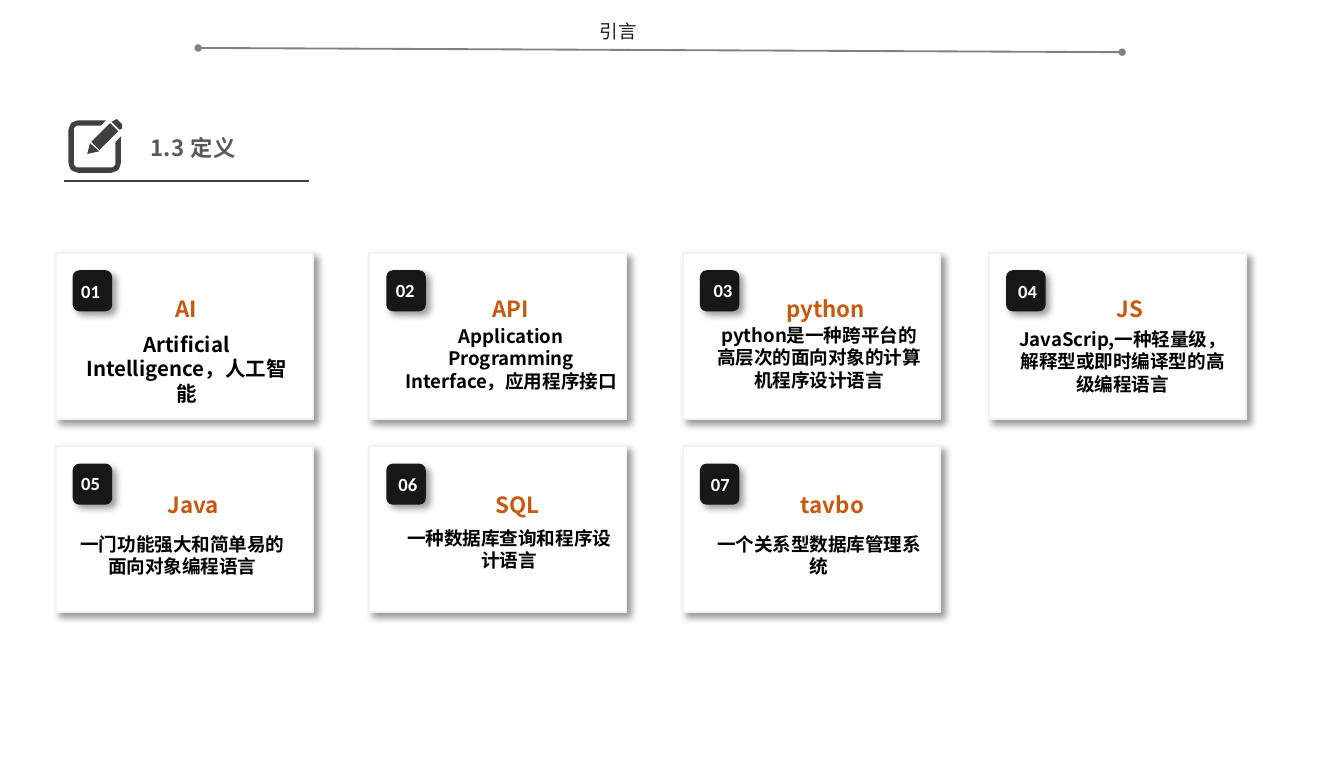
from math import cos, radians, sin

from lxml import etree
from pptx import Presentation
from pptx.dml.color import RGBColor
from pptx.enum.shapes import MSO_CONNECTOR, MSO_SHAPE
from pptx.enum.text import MSO_ANCHOR, MSO_AUTO_SIZE, PP_ALIGN
from pptx.oxml.ns import qn
from pptx.util import Cm, Pt

RECT, ROUND = MSO_SHAPE.RECTANGLE, MSO_SHAPE.ROUNDED_RECTANGLE
LINE = MSO_CONNECTOR.STRAIGHT
LEFT, MID = PP_ALIGN.LEFT, PP_ALIGN.CENTER
GROW, FIXED = MSO_AUTO_SIZE.SHAPE_TO_FIT_TEXT, MSO_AUTO_SIZE.NONE
CENTER = MSO_ANCHOR.MIDDLE

# Content
HEADER = "引言"
TITLE = "1.3 定义"
# name, text, text size, then offsets in the card (cm): number, name, text
CARDS = [
    ("AI", "Artificial Intelligence，人工智能", 11,
     (0.23, 0.38), (1.04, 0.71), (0.23, 1.37)),
    ("API", "Application Programming Interface，应用程序接口", 10,
     (0.25, 0.36), (1.24, 0.71), (0.36, 1.24)),
    ("python", "python是一种跨平台的高层次的面向对象的计算机程序设计语言", 10,
     (0.33, 0.36), (1.27, 0.71), (0.33, 1.22)),
    ("JS", "JavaScrip,一种轻量级，解释型或即时编译型的高级编程语言", 10,
     (0.3, 0.38), (1.24, 0.71), (0.28, 1.3)),
    ("Java", "一门功能强大和简单易的面向对象编程语言", 10,
     (0.23, 0.36), (1.17, 0.76), (0.15, 1.52)),
    ("SQL", "一种数据库查询和程序设计语言", 10,
     (0.3, 0.38), (1.37, 0.76), (0.4, 1.4)),
    ("tavbo", "一个关系型数据库管理系统", 10,
     (0.28, 0.38), (1.4, 0.76), (0.33, 1.52)),
]

# Layout in cm
COLS = (1.06, 7.01, 12.96, 18.77)
ROWS = (4.8, 8.47)
CARD = (4.88, 3.15)
BADGE = (0.75, 0.78)
INSET = (0.32, 0.33)

SANS, LATIN = "Noto Sans CJK SC", "Calibri"
COLORS = {
    "ink": "181717", "black": "000000", "white": "FFFFFF", "edge": "F2F2F2",
    "name": "C55A11", "title": "595959", "icon": "404040", "rule": "808080",
}


def color(key):
    return RGBColor.from_string(COLORS[key])


def style(par, size, key, bold=True, face=SANS, align=LEFT):
    par.alignment = align
    font = par.font
    font.size, font.bold, font.name = Pt(size), bold, face
    font.color.rgb = color(key)
    props = par._p.pPr.find(qn("a:defRPr"))
    etree.SubElement(props, qn("a:ea"), typeface=face)


def label(text, x, y, w, h, size, key, wrap=True, flush=False, **look):
    box = slide.shapes.add_textbox(Cm(x), Cm(y), Cm(w), Cm(h))
    frame = box.text_frame
    frame.word_wrap, frame.auto_size = wrap, GROW
    if flush:
        frame.margin_left = frame.margin_right = 0
        frame.margin_top = frame.margin_bottom = 0
    par = frame.paragraphs[0]
    par.text = text
    style(par, size, key, **look)
    return par


def panel(kind, x, y, size, fill, edge=None):
    shape = slide.shapes.add_shape(kind, Cm(x), Cm(y), *map(Cm, size))
    shape.fill.solid()
    shape.fill.fore_color.rgb = color(fill)
    if edge:
        shape.line.color.rgb = color(edge)
        shape.line.width = Pt(1)
    else:
        shape.line.fill.background()
    # Soft shadow to the lower right
    shape.shadow.inherit = False
    effects = shape._element.spPr.find(qn("a:effectLst"))
    shade = etree.SubElement(effects, qn("a:outerShdw"), blurRad=str(Pt(4)),
                             dist=str(Pt(3)), dir="2700000", algn="tl", rotWithShape="0")
    tint = etree.SubElement(shade, qn("a:srgbClr"), val=COLORS["black"])
    etree.SubElement(tint, qn("a:alpha"), val="40000")


def rule(x1, y1, x2, y2, key, width, dots=False):
    line = slide.shapes.add_connector(LINE, Cm(x1), Cm(y1), Cm(x2), Cm(y2))
    line.line.color.rgb = color(key)
    line.line.width = Pt(width)
    if dots:
        stroke = line.line._get_or_add_ln()
        for end in ("a:headEnd", "a:tailEnd"):
            etree.SubElement(stroke, qn(end), type="oval", w="sm", len="sm")
    etree.SubElement(line._element.spPr, qn("a:effectLst"))


def arc(x, y, r, start, stop):
    turns = [start + (stop - start) * i / 4 for i in range(5)]
    return [(x + r * cos(radians(t)), y + r * sin(radians(t))) for t in turns]


def icon(x, y, size):
    # Pencil parts and open frame on a 40 by 40 grid
    cap = [(40, 7), (38, 8), (32, 2), (34, 1), (36, 0), (40, 4), (40.5, 5.5)]
    shaft = [(23, 23), (17, 17), (31, 3), (37, 9)]
    tip = [(23, 24), (14, 26), (16, 18)]
    frame = [(24, 5), *arc(8, 9, 4, 270, 180), *arc(8, 32, 4, 180, 90),
             *arc(31, 32, 4, 90, 0), (35, 17), (39, 13),
             *arc(32, 33, 7, 0, 90), *arc(7, 33, 7, 90, 180),
             *arc(7, 8, 7, 180, 270), (28, 1)]
    pen = slide.shapes.build_freeform(*cap[0], scale=Cm(size) / 40)
    pen.add_line_segments(cap[1:])
    for part in (shaft, tip, frame):
        pen.move_to(*part[0])
        pen.add_line_segments(part[1:])
    shape = pen.convert_to_shape(Cm(x), Cm(y))
    shape.fill.solid()
    shape.fill.fore_color.rgb = color("icon")
    shape.line.fill.background()
    shape.shadow.inherit = False


deck = Presentation()
deck.slide_width, deck.slide_height = Cm(25.5), Cm(14.5)
slide = deck.slides.add_slide(deck.slide_layouts[5])

# Header
label(HEADER, 11.13, 0.25, 1.22, 0.69, 10, "ink", wrap=False, bold=False)
rule(3.76, 0.91, 21.29, 0.99, "rule", 1, dots=True)

# Section title
title = slide.shapes.title
title.left, title.top, title.width, title.height = Cm(2.6), Cm(2.4), Cm(3.3), Cm(0.8)
frame = title.text_frame
frame.text = TITLE
frame.auto_size, frame.vertical_anchor = FIXED, CENTER
style(frame.paragraphs[0], 12, "title")
frame.paragraphs[0].runs[0].font._element.set("spc", "20")
icon(1.3, 2.26, 1.02)
rule(1.22, 3.43, 5.87, 3.43, "icon", 1.25)

# Definition cards
for i, (name, text, size, num, head, body) in enumerate(CARDS):
    row, col = divmod(i, len(COLS))
    x, y = COLS[col], ROWS[row]
    panel(RECT, x, y, CARD, "white", "edge")
    panel(ROUND, x + INSET[0], y + INSET[1], BADGE, "ink")
    par = label(text, x + body[0], y + body[1], 4.65 if name == "API" else 4.5, 1.5,
                size, "black", align=MID)
    par.space_before = Pt(6)
    par = label(name, x + head[0], y + head[1], 2.87, 0.58, 12, "name",
                flush=True, align=MID)
    par.line_spacing, par.space_before = 1.2, Pt(3)
    label(f"{i + 1:02}", x + num[0], y + num[1], 1.22, 0.69, 10, "white", face=LATIN)

deck.save("out.pptx")
